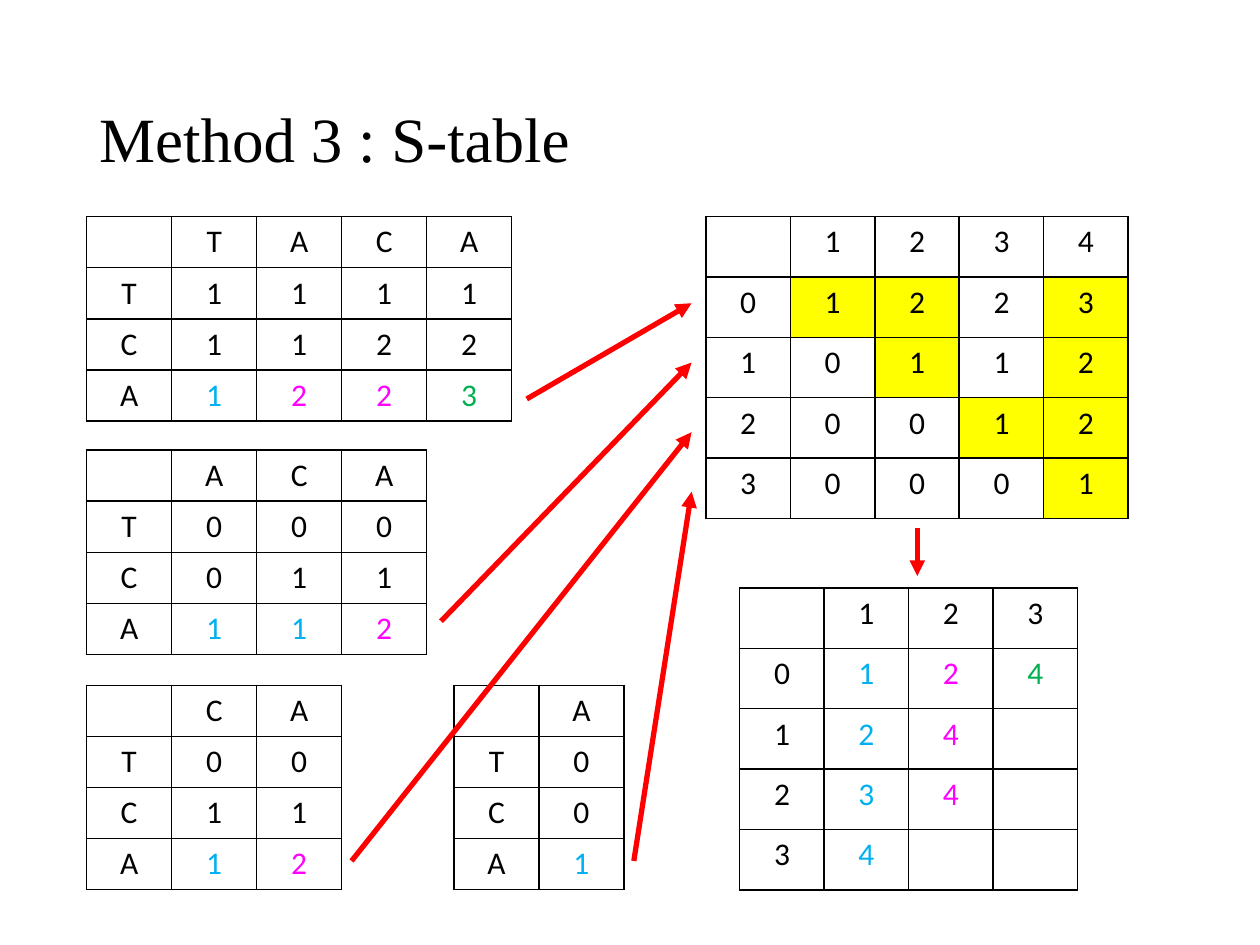
from dataclasses import dataclass

import pptx
import pptx.dml.color
import pptx.enum.shapes
import pptx.enum.text
import pptx.oxml
import pptx.oxml.ns
import pptx.util

Pt = pptx.util.Pt

BLACK, WHITE, RED, YELLOW = "000000", "FFFFFF", "FF0000", "FFFF00"
# A letter after a cell's value gives its text colour; "y" fills the cell instead
TEXT_COLOURS = {"b": "00B0F0", "m": "FF00FF", "g": "00B050"}


@dataclass
class Grid:
    left: float
    top: float
    column_width: float
    row_height: float
    rows: list[str]  # cells split by blanks, "." is an empty cell


@dataclass
class Arrow:
    start: tuple[float, float]
    end: tuple[float, float]


def colour(value: str) -> pptx.dml.color.RGBColor:
    return pptx.dml.color.RGBColor.from_string(value)


def add_borders(cell) -> None:
    properties = cell._tc.get_or_add_tcPr()
    for side in ("lnL", "lnR", "lnT", "lnB"):
        properties.append(pptx.oxml.parse_xml(
            f'<a:{side} {pptx.oxml.ns.nsdecls("a")} w="{Pt(1)}"><a:solidFill>'
            f'<a:srgbClr val="{BLACK}"/></a:solidFill></a:{side}>'))


def fill_cell(cell, mark: str) -> None:
    add_borders(cell)
    cell.fill.solid()
    cell.fill.fore_color.rgb = colour(YELLOW if mark.endswith("y") else WHITE)
    para = cell.text_frame.paragraphs[0]
    para.alignment = pptx.enum.text.PP_ALIGN.CENTER
    para.font.size = Pt(18)
    if mark != ".":
        span = para.add_run()
        span.text = mark[0]
        span.font.size = Pt(18)
        span.font.name = "Calibri"
        span.font.color.rgb = colour(TEXT_COLOURS.get(mark[-1], BLACK))


def add_grid(page, grid: Grid) -> None:
    marks = [row.split() for row in grid.rows]
    row_count, column_count = len(marks), len(marks[0])
    table = page.shapes.add_table(
        row_count, column_count, Pt(grid.left), Pt(grid.top),
        Pt(grid.column_width * column_count), Pt(grid.row_height * row_count)).table
    table.first_row = table.horz_banding = False
    for column in table.columns:
        column.width = Pt(grid.column_width)
    for row in table.rows:
        row.height = Pt(grid.row_height)
    for row_index, row_marks in enumerate(marks):
        for column_index, mark in enumerate(row_marks):
            fill_cell(table.cell(row_index, column_index), mark)


def add_arrow(page, arrow: Arrow) -> None:
    connector = page.shapes.add_connector(
        pptx.enum.shapes.MSO_CONNECTOR.STRAIGHT,
        *(Pt(value) for value in arrow.start + arrow.end))
    connector.line.color.rgb = colour(RED)
    connector.line.width = Pt(3)
    namespace = pptx.oxml.ns.nsdecls("a")
    connector.line._get_or_add_ln().append(
        pptx.oxml.parse_xml(f'<a:tailEnd {namespace} type="triangle"/>'))
    connector._element.spPr.append(pptx.oxml.parse_xml(f"<a:effectLst {namespace}/>"))


def add_title(page, text: str) -> None:
    box = page.shapes.title
    box.left, box.top, box.width, box.height = Pt(49.5), Pt(28.8), Pt(621), Pt(104.4)
    frame = box.text_frame
    frame.auto_size = pptx.enum.text.MSO_AUTO_SIZE.NONE
    frame.vertical_anchor = pptx.enum.text.MSO_ANCHOR.MIDDLE
    para = frame.paragraphs[0]
    para.alignment = pptx.enum.text.PP_ALIGN.LEFT
    para.line_spacing = 0.9
    span = para.add_run()
    span.text = text
    span.font.size = Pt(36)
    span.font.name = "Times New Roman"
    span.font.color.rgb = colour(BLACK)


LEFT, TOP = 49.5, 123.8
SMALL = (48.6, 29.2)  # column width and row height of the alignment tables
LARGE = (48.3, 34.5)  # the same for the S-table and its breakpoints

# One alignment table for each suffix of TACA against TCA
ALIGNMENTS = [
    Grid(LEFT, TOP, *SMALL,
         [". T A C A", "T 1 1 1 1", "C 1 1 2 2", "A 1b 2m 2m 3g"]),
    Grid(LEFT, 257.2, *SMALL, [". A C A", "T 0 0 0", "C 0 1 1", "A 1b 1b 2m"]),
    Grid(LEFT, 391.6, *SMALL, [". C A", "T 0 0", "C 1 1", "A 1b 2m"]),
    Grid(259.4, 391.6, *SMALL, [". A", "T 0", "C 0", "A 1b"]),
]
S_TABLE = Grid(403.3, TOP, *LARGE,
               [". 1 2 3 4", "0 1y 2y 2 3y", "1 0 1y 1 2y", "2 0 0 1y 2y", "3 0 0 0 1y"])
BREAKPOINTS = Grid(422.7, 336, *LARGE,
                   [". 1 2 3", "0 1b 2m 4g", "1 2b 4m .", "2 3b 4m .", "3 4b . ."])

TARGET_X = 395.2  # just left of the S-table
ARROWS = [
    Arrow((301, 228), (TARGET_X, 173.3)),
    Arrow((252, 355), (TARGET_X, 207.2)),
    Arrow((200.9, 492), (TARGET_X, 247)),
    Arrow((362.2, 492), (TARGET_X, 281)),
    Arrow((524.2, 301.7), (524.2, 329.2)),
]


def main() -> None:
    deck = pptx.Presentation()
    deck.slide_width, deck.slide_height = Pt(720), Pt(540)
    page = deck.slides.add_slide(deck.slide_layouts.get_by_name("Title Only"))
    add_title(page, "Method 3 : S-table")
    for grid in ALIGNMENTS + [S_TABLE]:
        add_grid(page, grid)
    for arrow in ARROWS:
        add_arrow(page, arrow)
    add_grid(page, BREAKPOINTS)
    deck.save("out.pptx")


if __name__ == "__main__":
    main()
